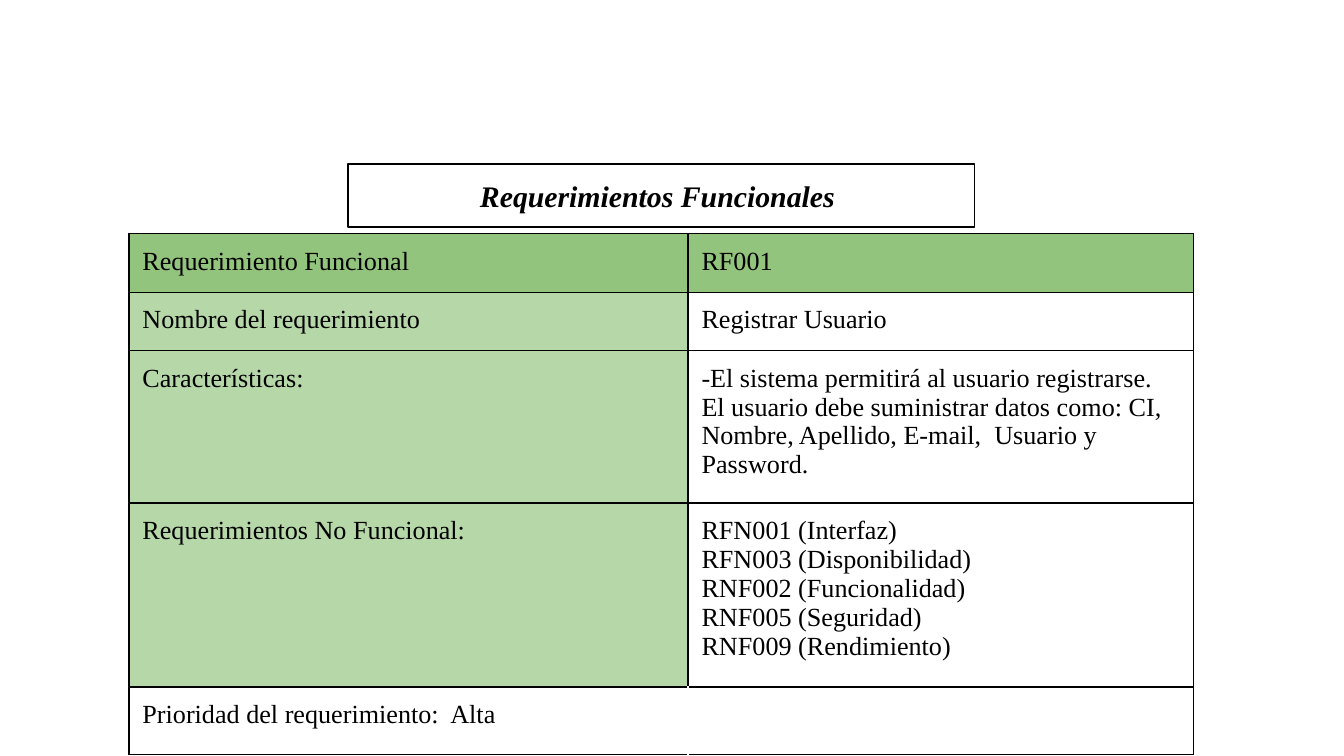
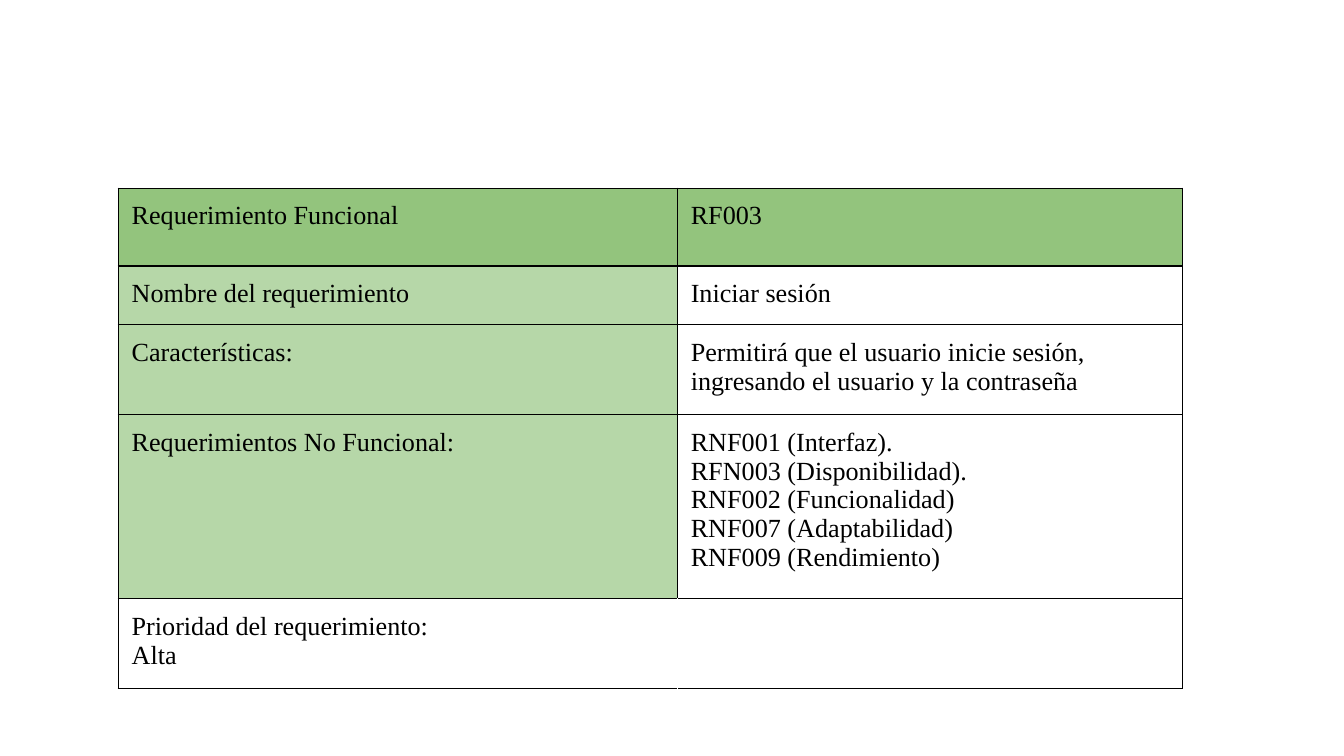
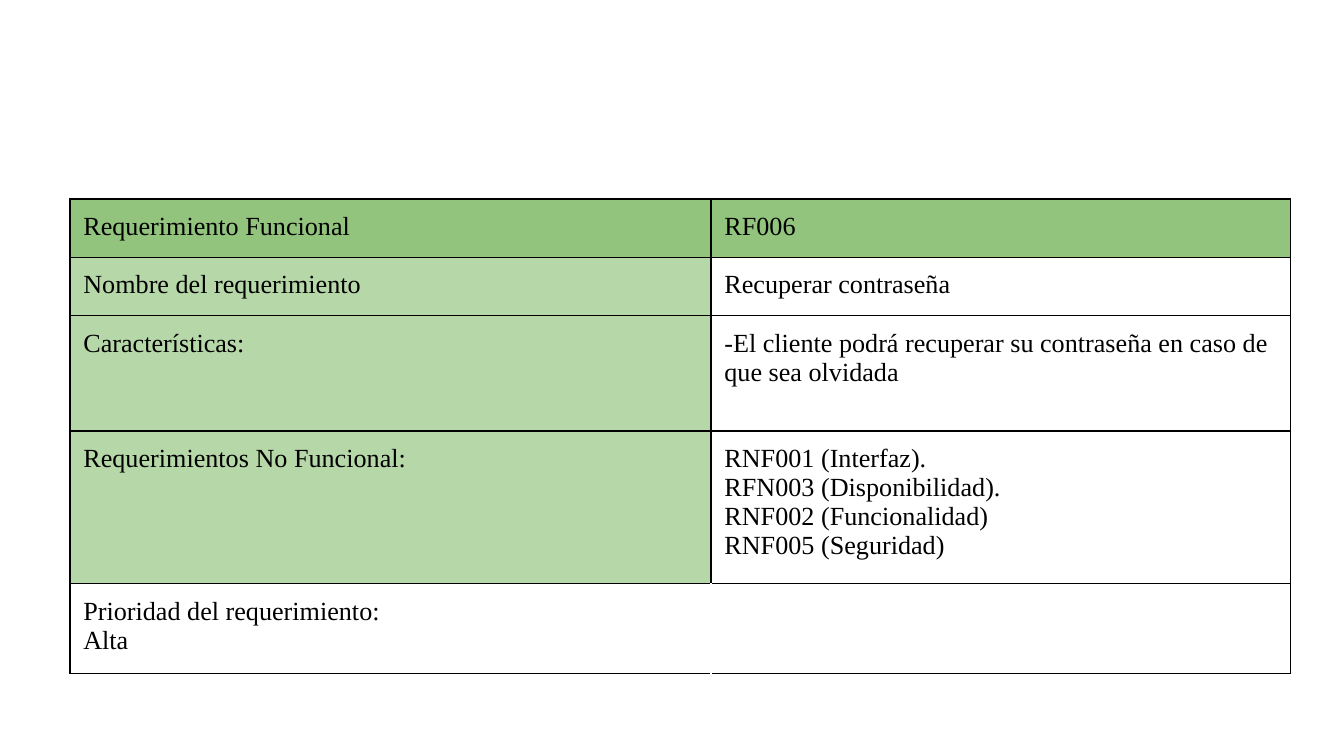
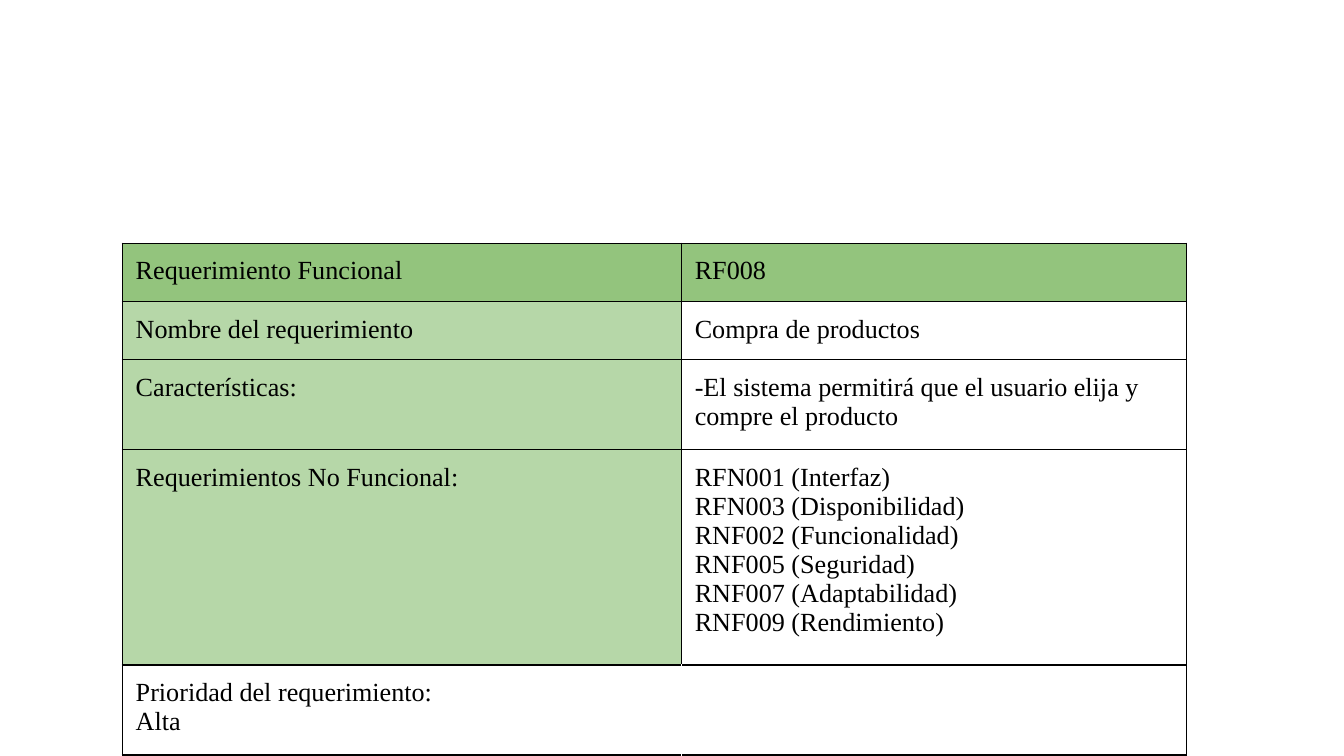
from dataclasses import dataclass

from lxml import etree
from pptx import Presentation
from pptx import util as u
from pptx.dml.color import RGBColor
from pptx.enum import shapes, text
from pptx.oxml.ns import qn


@dataclass(frozen=True)
class Theme:
    font: str = "Times New Roman"
    title_size: int = 16
    body_size: int = 14
    ink: str = "000000"
    paper: str = "FFFFFF"
    header: str = "93C47D"
    label: str = "B6D7A8"
    line_width: float = 0.75
    margin: float = 0.1


THEME = Theme()
SLIDE_WIDTH = 10
SLIDE_HEIGHT = SLIDE_WIDTH * 9 / 16

LABELS = [
    "Requerimiento Funcional",
    "Nombre del requerimiento",
    "Características:",
    "Requerimientos No Funcional:",
]

REQUIREMENTS = [
    dict(
        at=(0.96, 1.74), cols=(4.16, 3.76), rows=(0.43, 0.43, 1.13, 1.37, 0.5),
        values=[
            "RF001",
            "Registrar Usuario",
            "-El sistema permitirá al usuario registrarse. El usuario debe suministrar "
            "datos como: CI, Nombre, Apellido, E-mail,  Usuario y Password.",
            "RFN001 (Interfaz)\nRFN003 (Disponibilidad)\nRNF002 (Funcionalidad)\n"
            "RNF005 (Seguridad)\nRNF009 (Rendimiento)",
        ],
        priority="Prioridad del requerimiento:  Alta",
    ),
    dict(
        at=(0.88, 1.4), cols=(4.16, 3.76), rows=(0.58, 0.43, 0.67, 1.37, 0.67),
        values=[
            "RF003",
            "Iniciar sesión",
            "Permitirá que el usuario inicie sesión, ingresando el usuario y la contraseña",
            "RNF001 (Interfaz).\nRFN003 (Disponibilidad).\nRNF002 (Funcionalidad)\n"
            "RNF007 (Adaptabilidad)\nRNF009 (Rendimiento)",
        ],
        priority="Prioridad del requerimiento:\nAlta",
    ),
    dict(
        at=(0.52, 1.48), cols=(4.77, 4.31), rows=(0.43, 0.43, 0.86, 1.13, 0.67),
        values=[
            "RF006",
            "Recuperar contraseña",
            "-El cliente podrá recuperar su contraseña en caso de que sea olvidada",
            "RNF001 (Interfaz).\nRFN003 (Disponibilidad).\nRNF002 (Funcionalidad)\n"
            "RNF005 (Seguridad)",
        ],
        priority="Prioridad del requerimiento:\nAlta",
    ),
    dict(
        at=(0.91, 1.81), cols=(4.16, 3.76), rows=(0.43, 0.43, 0.67, 1.6, 0.67),
        values=[
            "RF008",
            "Compra de productos",
            "-El sistema permitirá que el usuario elija y compre el producto",
            "RFN001 (Interfaz)\nRFN003 (Disponibilidad)\nRNF002 (Funcionalidad)\n"
            "RNF005 (Seguridad)\nRNF007 (Adaptabilidad)\nRNF009 (Rendimiento)",
        ],
        priority="Prioridad del requerimiento:\nAlta",
    ),
]


def rgb(value):
    return RGBColor.from_string(value)


def set_margins(box):
    """Give a cell or text frame the shared inner margin on all sides."""
    for side in ("left", "top", "right", "bottom"):
        setattr(box, f"margin_{side}", u.Inches(THEME.margin))


def write(tf, content, size, emphasis=None):
    tf.text = content
    for p in tf.paragraphs:
        for r in p.runs:
            r.font.name = THEME.font
            r.font.size = u.Pt(size)
            r.font.bold = r.font.italic = emphasis
            r.font.color.rgb = rgb(THEME.ink)


def set_borders(cell, hidden_side):
    """Draw the four cell edges; the hidden side takes the paper colour."""
    tc_pr = cell._tc.get_or_add_tcPr()
    for side in "LRTB":
        ln = etree.SubElement(tc_pr, qn(f"a:ln{side}"), w=str(u.Pt(THEME.line_width)))
        fill = etree.SubElement(ln, qn("a:solidFill"))
        color = THEME.paper if side == hidden_side else THEME.ink
        etree.SubElement(fill, qn("a:srgbClr"), val=color)


def style_cell(cell, content, fill, hidden_side=None):
    set_margins(cell)
    set_borders(cell, hidden_side)
    cell.fill.solid()
    cell.fill.fore_color.rgb = rgb(fill)
    if content:
        write(cell.text_frame, content, THEME.body_size)


def add_title(slide, content):
    sp = slide.shapes.add_shape(
        shapes.MSO_SHAPE.RECTANGLE,
        u.Inches(2.59), u.Inches(1.22), u.Inches(4.66), u.Inches(0.47))
    sp.shadow.inherit = False
    sp.fill.background()
    sp.line.color.rgb = rgb(THEME.ink)
    sp.line.width = u.Pt(THEME.line_width)
    tf = sp.text_frame
    tf.word_wrap = True
    tf.auto_size = text.MSO_AUTO_SIZE.SHAPE_TO_FIT_TEXT
    tf.vertical_anchor = text.MSO_ANCHOR.TOP
    set_margins(tf)
    write(tf, content, THEME.title_size, emphasis=True)
    tf.paragraphs[0].alignment = text.PP_ALIGN.CENTER


def add_requirement(slide, at, cols, rows, values, priority):
    left, top = at
    frame = slide.shapes.add_table(
        len(rows), len(cols), u.Inches(left), u.Inches(top),
        u.Inches(sum(cols)), u.Inches(sum(rows)))
    table = frame.table
    table.first_row = table.horz_banding = False
    for column, width in zip(table.columns, cols):
        column.width = u.Inches(width)
    for row, height in zip(table.rows, rows):
        row.height = u.Inches(height)

    for i, (label, value) in enumerate(zip(LABELS, values)):
        fills = (THEME.label, THEME.paper) if i else (THEME.header, THEME.header)
        style_cell(table.cell(i, 0), label, fills[0])
        style_cell(table.cell(i, 1), value, fills[1])
    last = len(LABELS)
    style_cell(table.cell(last, 0), priority, THEME.paper, hidden_side="R")
    style_cell(table.cell(last, 1), "", THEME.paper, hidden_side="L")


def main():
    prs = Presentation()
    prs.slide_width = u.Inches(SLIDE_WIDTH)
    prs.slide_height = u.Inches(SLIDE_HEIGHT)
    for number, requirement in enumerate(REQUIREMENTS):
        slide = prs.slides.add_slide(prs.slide_layouts[6])
        if number == 0:
            add_title(slide, "Requerimientos Funcionales ")
        add_requirement(slide, **requirement)
    prs.save("out.pptx")


if __name__ == "__main__":
    main()
